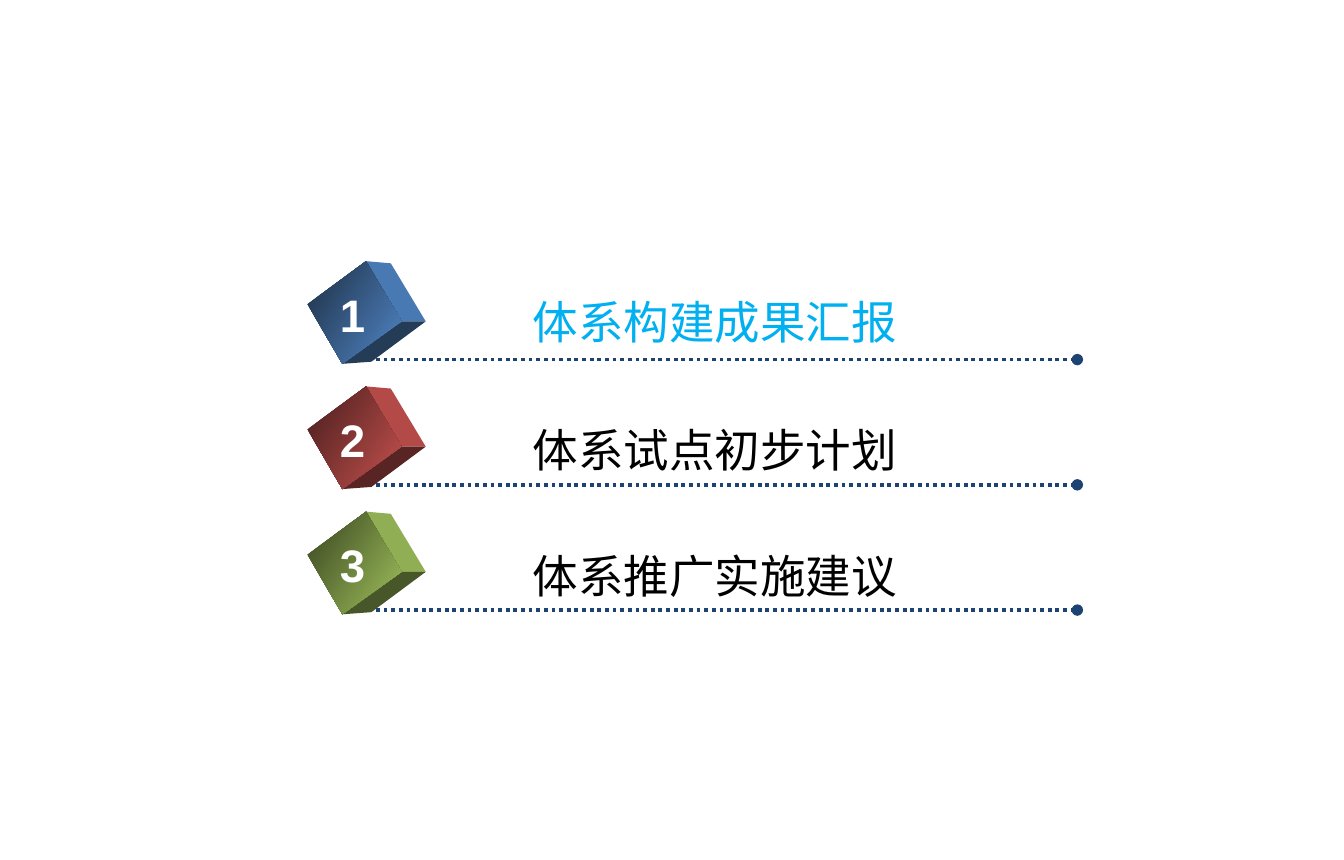
import pptx
import pptx.util
import pptx.dml.color
import pptx.enum.dml
import pptx.enum.text
import pptx.oxml.ns
from lxml import etree

Cm = pptx.util.Cm
qn = pptx.oxml.ns.qn
ALIGN = pptx.enum.text.PP_ALIGN

COLORS = {
    "line": "1C4372", "number": "FFFFFF", "active": "00B0F0", "item": "000000",
    "blue": "4F81BD", "blue_side": "4979B3", "blue_dark": "253C57",
    "red": "C0504D", "red_side": "B34A47", "red_dark": "592524",
    "green": "9BBB59", "green_side": "90AE53", "green_dark": "485729",
}

# Agenda: text, text colour, cube colour, top of the text in cm
ITEMS = [
    ("体系构建成果汇报", "active", "blue", 5.35),
    ("体系试点初步计划", "item", "red", 7.73),
    ("体系推广实施建议", "item", "green", 10.07),
]
ROW_PITCH = 2.33

# Cube faces of the first row, corners in cm
FRONT = [(5.72, 5.66), (6.81, 4.86), (7.47, 5.98), (6.37, 6.77)]
SIDE = [(6.81, 4.86), (7.27, 4.9), (7.92, 5.98), (7.47, 5.98)]
BOTTOM = [(7.47, 5.98), (7.92, 5.98), (6.91, 6.73), (6.37, 6.77)]

NUMBER_FONT = {"name": "Arial", "size": pptx.util.Pt(24), "bold": True}
ITEM_FONT = {"name": "Noto Sans CJK SC", "size": pptx.util.Pt(24), "bold": False}


def rgb(key):
    return pptx.dml.color.RGBColor.from_string(COLORS[key])


def add_rule(s, y):
    """Dotted line that ends in a dot."""
    line = s.shapes.add_connector(1, Cm(6.71), Cm(y), Cm(20.04), Cm(y))
    line.line.color.rgb = rgb("line")
    line.line.width = pptx.util.Pt(2)
    line.line.dash_style = pptx.enum.dml.MSO_LINE.ROUND_DOT
    sp_pr = line.line._get_or_add_ln().getparent()
    etree.SubElement(sp_pr.find(qn("a:ln")), qn("a:tailEnd"), type="oval")
    etree.SubElement(sp_pr, qn("a:effectLst"))


def add_face(s, corners, dy):
    points = [(Cm(x), Cm(y + dy)) for x, y in corners]
    builder = s.shapes.build_freeform(*points[0], scale=1.0)
    builder.add_line_segments(points[1:], close=True)
    sp = builder.convert_to_shape()
    sp.shadow.inherit = False
    sp.line.fill.background()
    return sp


def add_cube(s, color, dy):
    for corners, tone in ((SIDE, "_side"), (BOTTOM, "_dark")):
        fill = add_face(s, corners, dy).fill
        fill.solid()
        fill.fore_color.rgb = rgb(color + tone)
    fill = add_face(s, FRONT, dy).fill
    fill.gradient()
    fill.gradient_angle = 327
    for stop, tone, position in zip(fill.gradient_stops, ("_dark", "_side"), (0.15, 0.85)):
        stop.color.rgb = rgb(color + tone)
        stop.position = position


def add_text(s, text, left, top, width, font, color, align):
    sp = s.shapes.add_textbox(Cm(left), Cm(top), Cm(width), Cm(1.27))
    tf = sp.text_frame
    tf.word_wrap = False
    tf.auto_size = pptx.enum.text.MSO_AUTO_SIZE.SHAPE_TO_FIT_TEXT
    p = tf.paragraphs[0]
    p.alignment = align
    r = p.add_run()
    r.text = text
    for name, value in font.items():
        setattr(r.font, name, value)
    r.font.color.rgb = rgb(color)
    etree.SubElement(r._r.get_or_add_rPr(), qn("a:ea"), typeface=font["name"])


def main():
    prs = pptx.Presentation()
    prs.slide_width, prs.slide_height = Cm(25), Cm(16)
    s = prs.slides.add_slide(prs.slide_layouts[6])

    # One row per agenda item: rule, cube, number, text
    for i, (text, text_color, cube_color, text_top) in enumerate(ITEMS):
        dy = i * ROW_PITCH
        add_rule(s, 6.69 + dy)
        add_cube(s, cube_color, dy)
        add_text(s, str(i + 1), 6.06, 5.21 + dy, 1, NUMBER_FONT, "number", ALIGN.CENTER)
        add_text(s, text, 9.66, text_top, 7.34, ITEM_FONT, text_color, ALIGN.LEFT)

    prs.save("out.pptx")


if __name__ == "__main__":
    main()
